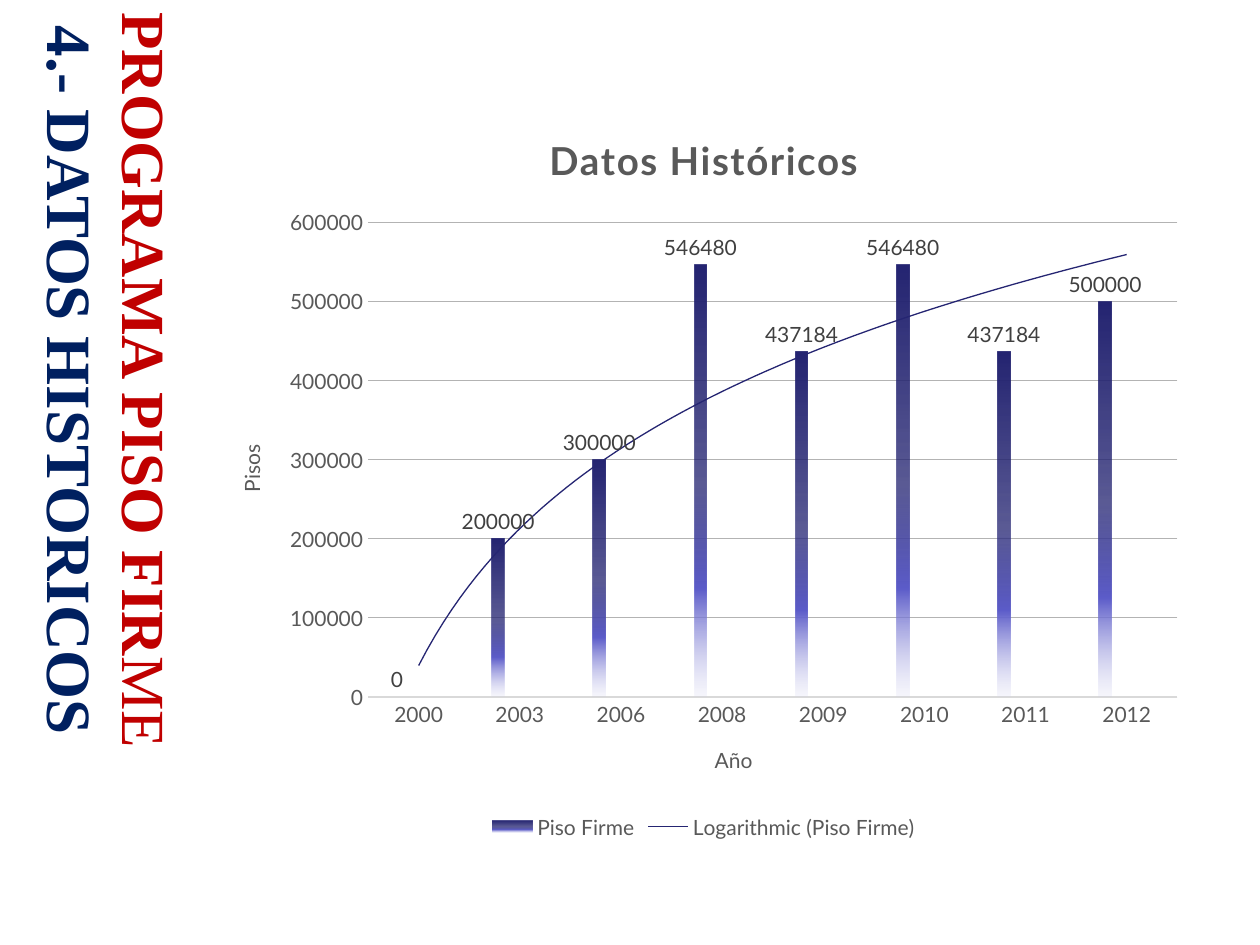
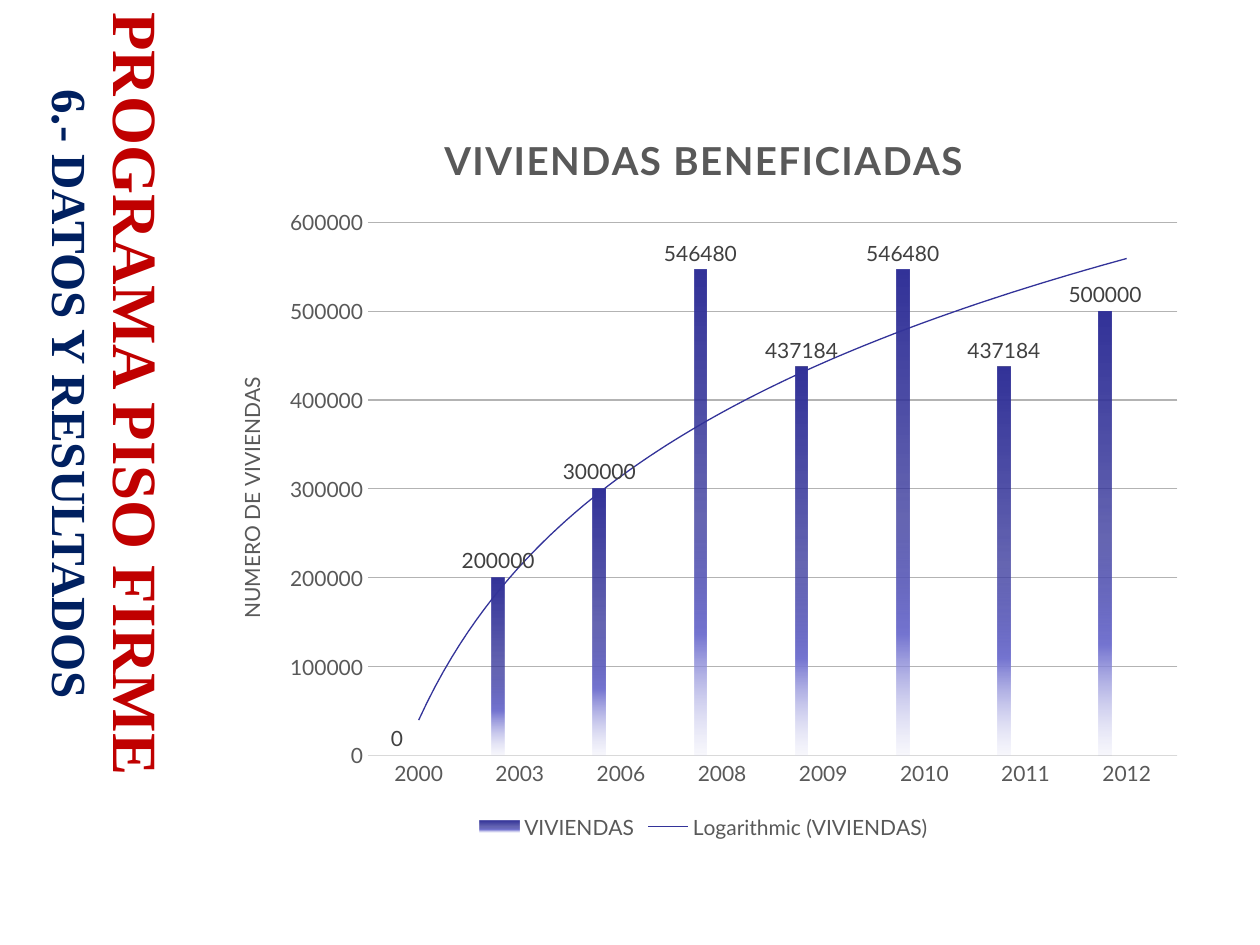
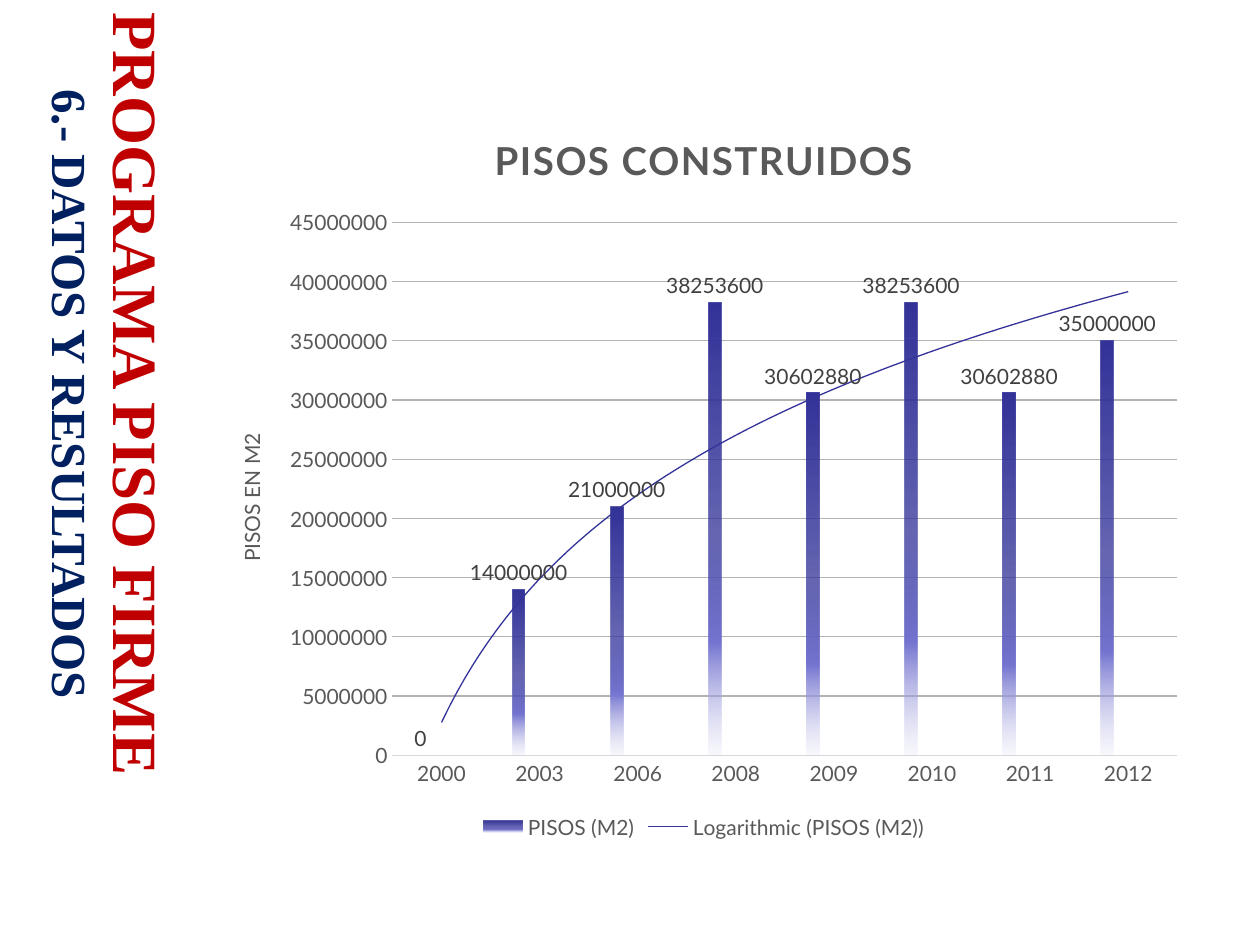
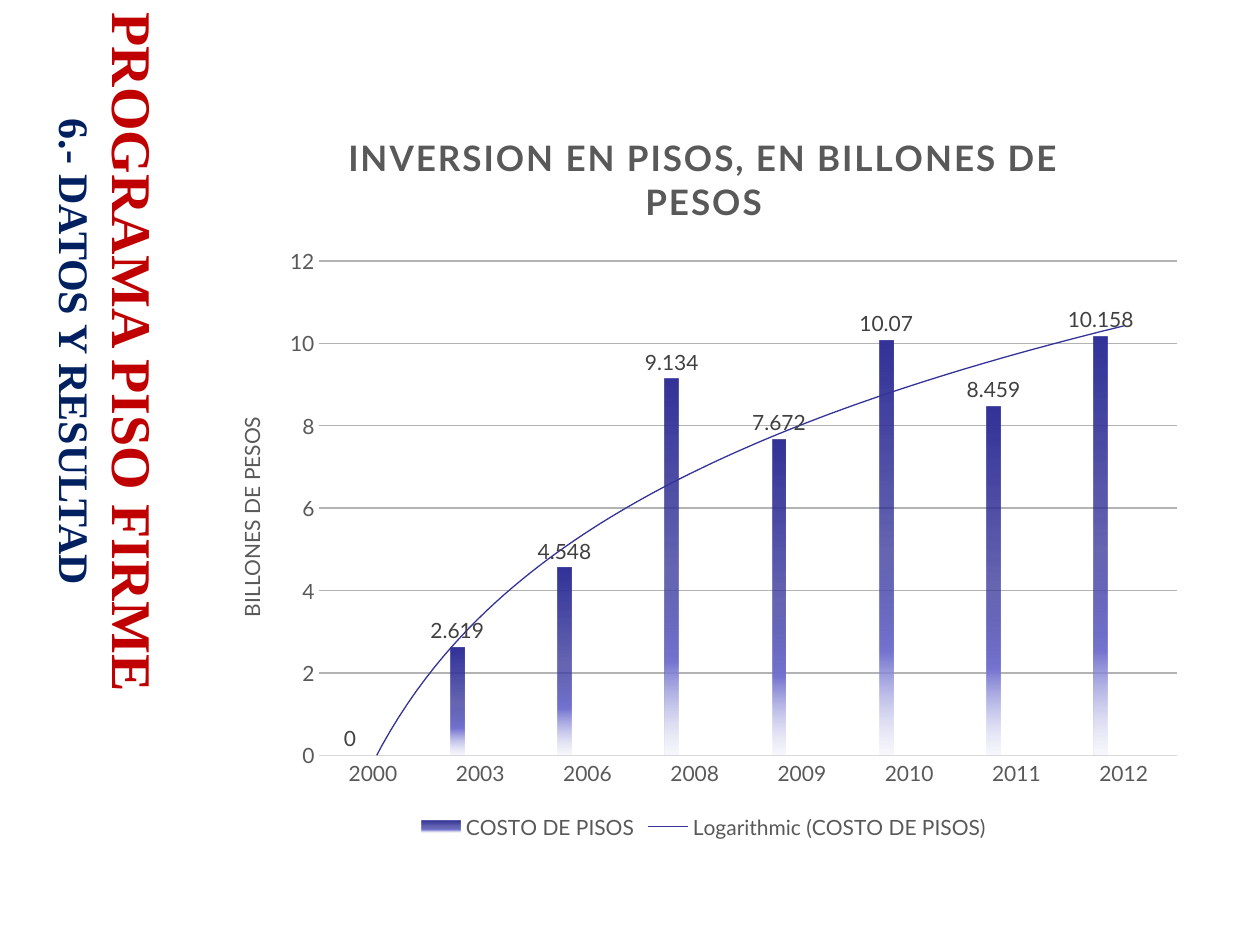
from dataclasses import dataclass
from typing import Optional

from lxml import etree
from pptx import Presentation
from pptx.chart.data import CategoryChartData
from pptx.dml.color import RGBColor
from pptx.enum.chart import XL_CHART_TYPE as ChartType
from pptx.enum.chart import XL_LABEL_POSITION as LabelPosition
from pptx.enum.chart import XL_LEGEND_POSITION as LegendPosition
from pptx.enum.chart import XL_TICK_MARK as TickMark
from pptx.enum.text import MSO_ANCHOR as Anchor
from pptx.enum.text import PP_ALIGN as Align
from pptx.oxml import parse_xml
from pptx.oxml.ns import nsdecls, qn
from pptx.util import Inches, Pt

RED, NAVY = "C00000", "002060"
GREY, DARK_GREY = "595959", "404040"
AXIS_LINE, GRID_LINE = "D9D9D9", "B3B3B3"
TITLE_FONT, CHART_FONT = "Times New Roman", "Lato"
TITLE_BOX = (0.33, 0, 1.08, 6.75)
CHART_BOX = (1.67, 0.83, 7.83, 5.87)
YEARS = ["2000", "2003", "2006", "2008", "2009", "2010", "2011", "2012"]
HOUSES = [0, 200000, 300000, 546480, 437184, 546480, 437184, 500000]
FLOOR_AREA = [0, 14000000, 21000000, 38253600, 30602880, 38253600, 30602880, 35000000]
COSTS = [0, 2.619, 4.548, 9.134, 7.672, 10.07, 8.459, 10.158]
INDIGO = ("333399", "7575D1", "D1D1F0")
DEEP_INDIGO = ("2D2D8A", "6B6BCF", "CECEEF")
BLACK = ("000000", "666666", "CCCCCC")
RESULT_SHADES = (INDIGO, BLACK, DEEP_INDIGO)
HISTORY_SHADES = (("252572", "5D5DCA", "C9C9ED"), DEEP_INDIGO, ("A4A4BE", "C8C8D8", "EDEDF2"))


@dataclass
class ChartPage:
    """Hold the wording and values of one slide."""
    heading: list
    bottom_inset: float
    title: str
    series_name: str
    values: list
    value_title: str
    category_title: Optional[str] = None
    title_size: int = 22
    shades: tuple = RESULT_SHADES


def color(hex_text):
    """Turn a hex string into a colour."""
    return RGBColor.from_string(hex_text)


def style_font(font, name, size, hex_text, bold=False):
    """Set the face, size, colour and weight of a font."""
    font.name, font.size, font.bold = name, Pt(size), bold
    font.color.rgb = color(hex_text)


def style_line(line, hex_text):
    """Give a line its colour and the common width."""
    line.color.rgb = color(hex_text)
    line.width = Pt(0.75)


def add_heading(page, box, lines, bottom_inset):
    """Add the vertical heading, one list of styled spans per line."""
    frame = page.shapes.add_textbox(*map(Inches, box)).text_frame
    frame.word_wrap = True
    frame.vertical_anchor = Anchor.MIDDLE
    frame.margin_bottom = Inches(bottom_inset)
    frame._txBody.bodyPr.set("vert", "eaVert")
    para = frame.paragraphs[0]
    para.alignment = Align.CENTER
    for number, spans in enumerate(lines):
        if number:
            para.add_line_break()
        for text, size, hex_text, bold in spans:
            span = para.add_run()
            span.text = text
            style_font(span.font, TITLE_FONT, size, hex_text, bold)


def fill_gradient(series, shades):
    """Fill the columns with a gradient that fades towards the axis."""
    top, middle, bottom = shades
    stops = [(0, top, 100), (51, top, 75), (75, middle, 100), (100, bottom, 15)]
    marks = "".join(
        f'<a:gs pos="{place * 1000}"><a:srgbClr val="{shade}">'
        f'<a:alpha val="{opacity * 1000}"/></a:srgbClr></a:gs>'
        for place, shade, opacity in stops)
    gradient = parse_xml(
        f'<a:gradFill {nsdecls("a")} rotWithShape="1"><a:gsLst>{marks}</a:gsLst>'
        '<a:lin ang="5400000" scaled="0"/></a:gradFill>')
    series.format.fill.solid()
    properties = series._element.get_or_add_spPr()
    properties.replace(properties.find(qn("a:solidFill")), gradient)


def add_log_trend(series, hex_text):
    """Add a thin logarithmic trend line to a series."""
    trend = parse_xml(
        f'<c:trendline {nsdecls("c", "a")}><c:spPr><a:ln w="9525"><a:solidFill>'
        f'<a:srgbClr val="{hex_text}"/></a:solidFill></a:ln></c:spPr>'
        '<c:trendlineType val="log"/><c:dispRSqr val="0"/><c:dispEq val="0"/></c:trendline>')
    series._element.find(qn("c:cat")).addprevious(trend)


def set_title(owner, text, size, bold=False, spacing=0, rotation=0):
    """Write the title of a chart or an axis."""
    frame = (owner.chart_title if hasattr(owner, "chart_title") else owner.axis_title).text_frame
    frame.text = text
    frame._txBody.bodyPr.set("rot", str(rotation * 60000))
    span = frame.paragraphs[0].runs[0]
    style_font(span.font, CHART_FONT, size, GREY, bold)
    span.font._element.set("spc", str(spacing))


def style_axes(chart, content):
    """Style both axes, their titles and the grid."""
    for axis in (chart.category_axis, chart.value_axis):
        axis.major_tick_mark = axis.minor_tick_mark = TickMark.NONE
        style_font(axis.tick_labels.font, CHART_FONT, 12, GREY)
    style_line(chart.category_axis.format.line, AXIS_LINE)
    chart.value_axis.format.line.fill.background()
    chart.value_axis.has_major_gridlines = True
    style_line(chart.value_axis.major_gridlines.format.line, GRID_LINE)
    set_title(chart.value_axis, content.value_title, 12, rotation=-90)
    if content.category_title:
        set_title(chart.category_axis, content.category_title, 12)


def add_legend(chart):
    """Add the bottom legend without the two empty series."""
    chart.has_legend = True
    legend = chart.legend
    legend.position = LegendPosition.BOTTOM
    legend.include_in_layout = False
    style_font(legend.font, CHART_FONT, 12, GREY)
    previous = legend._element.find(qn("c:legendPos"))
    for index in (1, 2):
        entry = etree.Element(qn("c:legendEntry"))
        etree.SubElement(entry, qn("c:idx")).set("val", str(index))
        etree.SubElement(entry, qn("c:delete")).set("val", "1")
        previous.addnext(entry)
        previous = entry


def add_column_chart(page, box, content):
    """Add the column chart with its trend line and labels."""
    data = CategoryChartData()
    data.categories = YEARS
    data.add_series(content.series_name, content.values)
    for name in ("Series 2", "Series 3"):
        data.add_series(name, [None] * len(YEARS))
    chart = page.shapes.add_chart(ChartType.COLUMN_CLUSTERED, *map(Inches, box), data).chart
    style_font(chart.font, CHART_FONT, 10, "000000")
    set_title(chart, content.title, content.title_size, bold=True, spacing=100)
    plot = chart.plots[0]
    plot.gap_width, plot.overlap, plot.vary_by_categories = 355, -70, False
    for series, shades in zip(plot.series, content.shades):
        fill_gradient(series, shades)
    main_series = plot.series[0]
    labels = main_series.data_labels
    labels.show_value = True
    labels.position = LabelPosition.OUTSIDE_END
    style_font(labels.font, CHART_FONT, 12, DARK_GREY)
    add_log_trend(main_series, content.shades[0][0])
    style_axes(chart, content)
    add_legend(chart)


def result_heading(text, size, subtitle_size):
    """Return the two heading lines of a results slide."""
    return [[("PROGRAMA PISO FIRME", size, RED, True)], [(text, subtitle_size, NAVY, True)]]


def build_contents():
    """List the contents of the slides in order."""
    history_heading = [
        [("PROGRAMA PISO FIR", 35, RED, True), ("ME", 35, RED, False)],
        [("4.- DATOS HISTORICOS", 36, NAVY, True)],
    ]
    results = result_heading("6.- DATOS Y RESULTADOS", 36, 28)
    return [
        ChartPage(history_heading, 0.8, "Datos Históricos", "Piso Firme", HOUSES,
                  "Pisos", "Año", shades=HISTORY_SHADES),
        ChartPage(results, 0.55, "VIVIENDAS BENEFICIADAS", "VIVIENDAS", HOUSES,
                  "NUMERO DE VIVIENDAS"),
        ChartPage(results, 0.55, "PISOS CONSTRUIDOS", "PISOS (M2)", FLOOR_AREA, "PISOS EN M2"),
        ChartPage(result_heading("6.- DATOS Y RESULTAD", 32, 24), 1.25,
                  "INVERSION EN PISOS, EN BILLONES DE PESOS", "COSTO DE PISOS", COSTS,
                  "BILLONES DE PESOS", title_size=20),
    ]


def main():
    """Build and save the deck."""
    deck = Presentation()
    deck.slide_width, deck.slide_height = Inches(10), Inches(7.5)
    for content in build_contents():
        page = deck.slides.add_slide(deck.slide_layouts[6])
        add_heading(page, TITLE_BOX, content.heading, content.bottom_inset)
        add_column_chart(page, CHART_BOX, content)
    deck.save("out.pptx")


if __name__ == "__main__":
    main()
